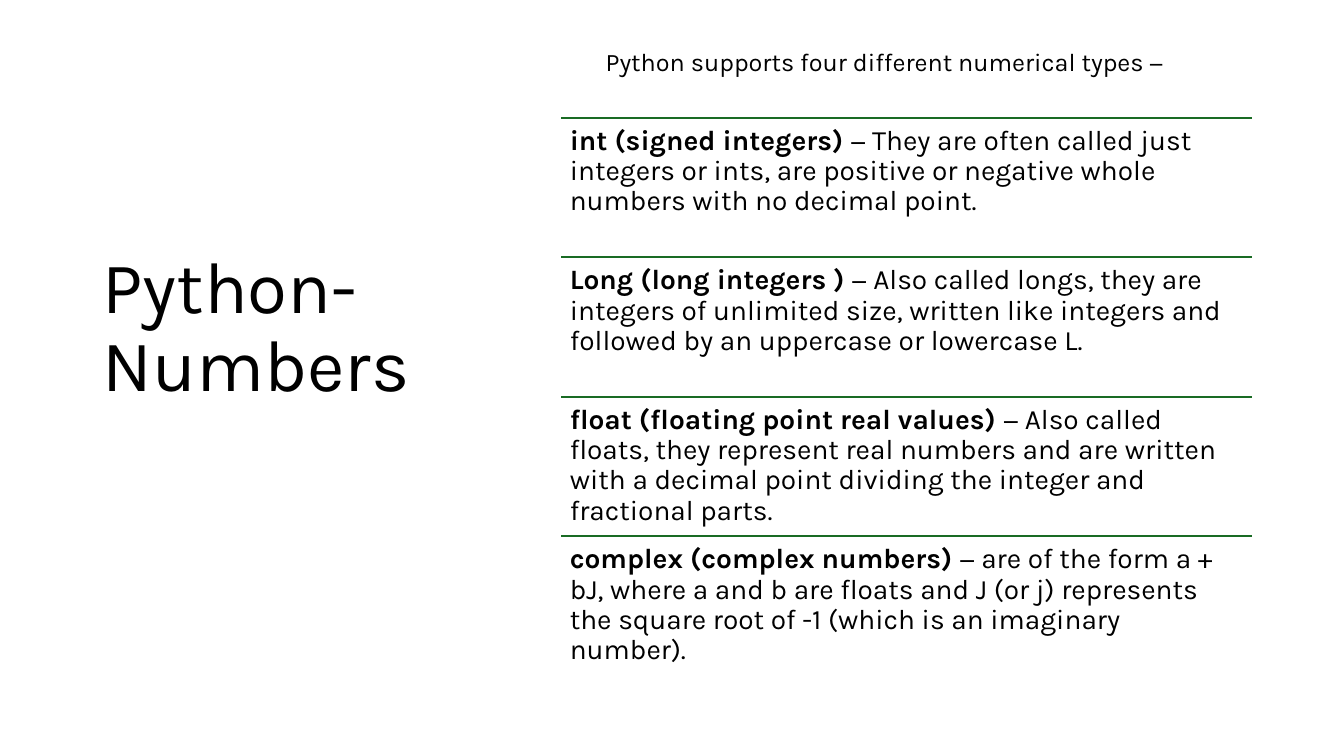
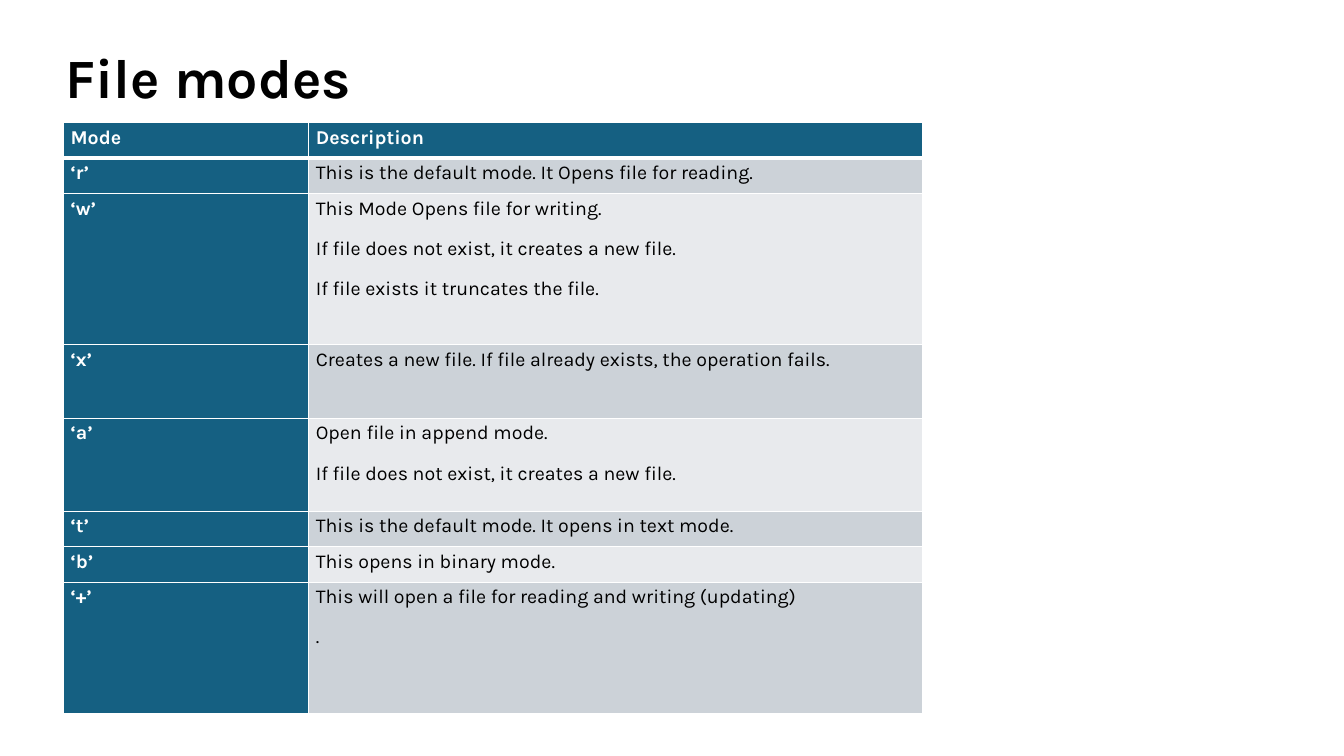
"""Build two slides on Python number types and file modes."""
from lxml.etree import SubElement
from pptx import Presentation
from pptx.dml.color import RGBColor
from pptx.enum.text import MSO_ANCHOR
from pptx.oxml import parse_xml
from pptx.oxml.ns import qn
from pptx.util import Pt

FONT = "Karla"
BLACK, WHITE, GREEN, BLUE = "000000", "FFFFFF", "196B24", "156082"
BANDS = "CCD2D8", "E8EAED"
DRAWING = "http://schemas.openxmlformats.org/drawingml/2006/main"

INTRO = "Python supports four different numerical types −"
NUMBER_TYPES = [
    ("int (signed integers)",
     "− They are often called just integers or ints, are positive or negative "
     "whole numbers with no decimal point."),
    ("Long (long integers )",
     "− Also called longs, they are integers of unlimited size, written like "
     "integers and followed by an uppercase or lowercase L."),
    ("float (floating point real values)",
     "− Also called floats, they represent real numbers and are written with a "
     "decimal point dividing the integer and fractional parts."),
    ("complex (complex numbers)",
     "− are of the form a + bJ, where a and b are floats and J (or j) represents "
     "the square root of -1 (which is an imaginary number)."),
]
TYPES_LEFT, TYPES_TOP, TYPES_WIDTH, TYPES_PITCH = 401, 84.2, 493.2, 99.6

FILE_MODES = [
    ("Mode", ["Description"], 25.3),
    ("‘r’", ["This is the default mode. It Opens file for reading."], 25.3),
    ("‘w’", ["This Mode Opens file for writing.",
             "If file does not exist, it creates a new file.",
             "If file exists it truncates the file."], 108),
    ("‘x’", ["Creates a new file. If file already exists, the operation fails."], 52.6),
    ("‘a’", ["Open file in append mode.",
             "If file does not exist, it creates a new file."], 66.4),
    ("‘t’", ["This is the default mode. It opens in text mode."], 25.3),
    ("‘b’", ["This opens in binary mode."], 25.3),
    ("‘+’", ["This will open a file for reading and writing (updating)", "."], 93.6),
]
MODE_COLUMNS = 175.2, 438.2


def color(value):
    return RGBColor.from_string(value)


def apply(target, **values):
    for name, value in values.items():
        setattr(target, name, value)


def write(frame, paragraphs, size, ink=BLACK, **spacing):
    """Fill a frame with paragraphs, each a list of (text, bold) spans."""
    for index, spans in enumerate(paragraphs):
        para = frame.add_paragraph() if index else frame.paragraphs[0]
        apply(para, **spacing)
        for text, bold in spans:
            span = para.add_run()
            span.text = text
            apply(span.font, name=FONT, size=Pt(size), bold=bold)
            span.font.color.rgb = color(ink)


def add_text(page, place, spans, size, inset=None, **spacing):
    box = page.shapes.add_textbox(*map(Pt, place))
    frame = box.text_frame
    frame.word_wrap = True
    if inset:
        apply(frame, **{f"margin_{side}": Pt(inset)
                        for side in ("left", "right", "top", "bottom")})
    write(frame, [spans], size, **spacing)
    return frame


def add_title(page, text, place, size, bold=False):
    frame = add_text(page, place, [(text, bold)], size, line_spacing=0.9)
    frame.vertical_anchor = MSO_ANCHOR.MIDDLE


def add_rule(page, left, top, width):
    rule = page.shapes.add_connector(1, *map(Pt, (left, top, left + width, top)))
    rule.line.color.rgb = color(GREEN)
    rule.line.width = Pt(1.5)
    SubElement(rule._element.spPr, qn("a:effectLst"))


def set_borders(cell, top, bottom):
    widths = {"lnL": 1, "lnR": 1, "lnT": top, "lnB": bottom}
    for index, (tag, width) in enumerate(widths.items()):
        cell._tc.get_or_add_tcPr().insert(index, parse_xml(
            f'<a:{tag} xmlns:a="{DRAWING}" w="{Pt(width)}"><a:solidFill>'
            f'<a:srgbClr val="{WHITE}"/></a:solidFill></a:{tag}>'))


def build_numbers(page):
    add_title(page, "Python-Numbers", (66.2, 44, 265.7, 382), 52)
    for index, (term, meaning) in enumerate(NUMBER_TYPES):
        top = TYPES_TOP + index * TYPES_PITCH
        add_rule(page, TYPES_LEFT, top, TYPES_WIDTH)
        add_text(page, (TYPES_LEFT, top, TYPES_WIDTH, TYPES_PITCH),
                 [(term + " ", True), (meaning, False)], 20, 6, line_spacing=0.9)
    add_text(page, (425.5, 29.5, 480.2, 29), [(INTRO, False)], 18)


def build_modes(page):
    add_title(page, "File modes", (39.6, 35.3, 712.8, 44.6), 39.6, True)
    heights = [height for _, _, height in FILE_MODES]
    table = page.shapes.add_table(
        len(FILE_MODES), len(MODE_COLUMNS), Pt(45.4), Pt(87.8),
        Pt(sum(MODE_COLUMNS)), Pt(sum(heights))).table
    for column, width in zip(table.columns, MODE_COLUMNS):
        column.width = Pt(width)
    for row, (mode, description, height) in enumerate(FILE_MODES):
        table.rows[row].height = Pt(height)
        for column, lines in enumerate(([mode], description)):
            cell = table.cell(row, column)
            heading = row == 0 or column == 0
            apply(cell, margin_left=Pt(5), margin_right=Pt(5),
                  margin_top=0, margin_bottom=0)
            cell.fill.solid()
            cell.fill.fore_color.rgb = color(BLUE if heading else BANDS[(row - 1) % 2])
            set_borders(cell, 3 if row == 1 else 1, 3 if row == 0 else 1)
            write(cell.text_frame, [[(line, heading)] for line in lines], 14,
                  WHITE if heading else BLACK, line_spacing=1.15, space_after=Pt(10))


def main():
    deck = Presentation()
    apply(deck, slide_width=Pt(960), slide_height=Pt(540))
    for build in (build_numbers, build_modes):
        build(deck.slides.add_slide(deck.slide_layouts[6]))
    deck.save("out.pptx")


if __name__ == "__main__":
    main()
